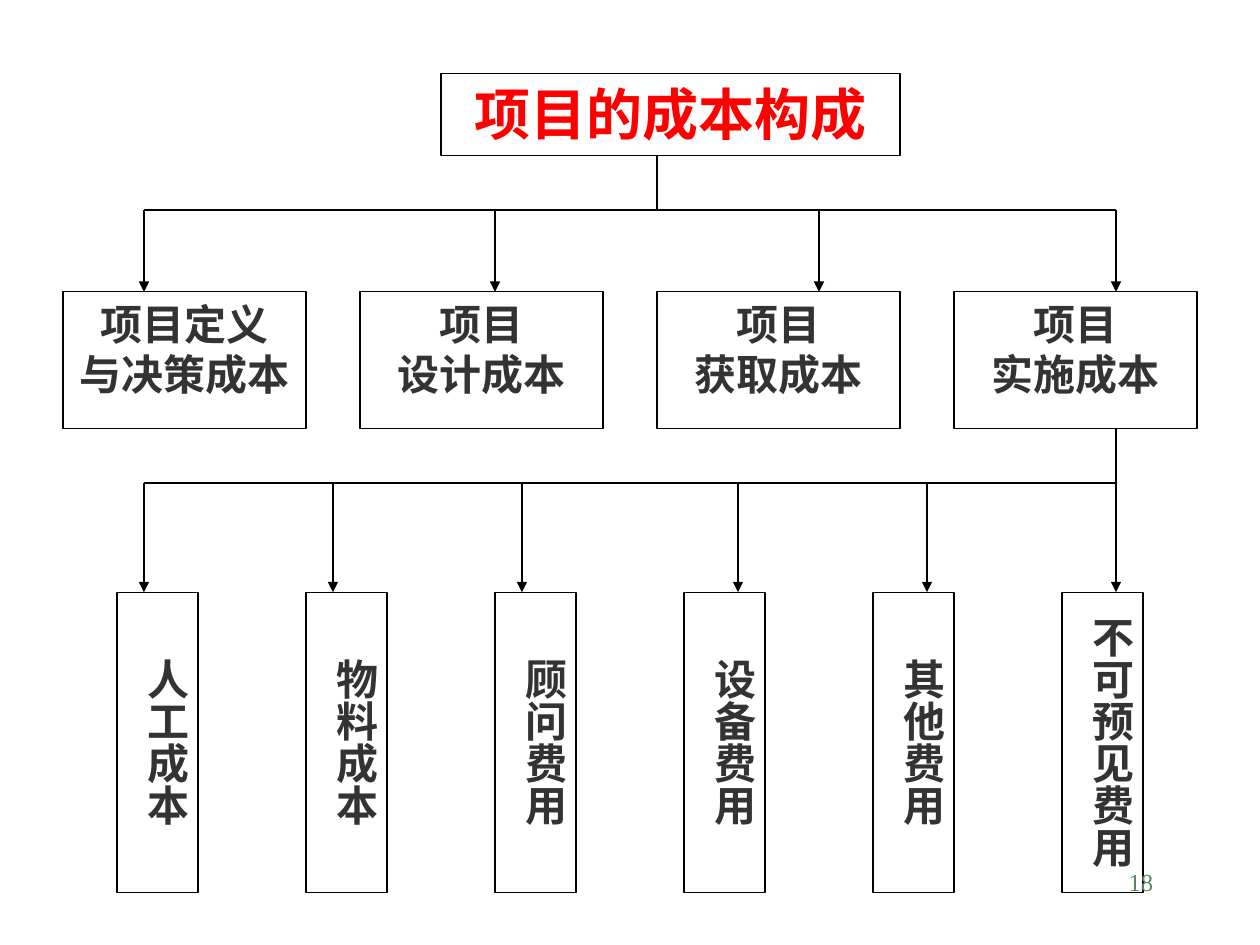
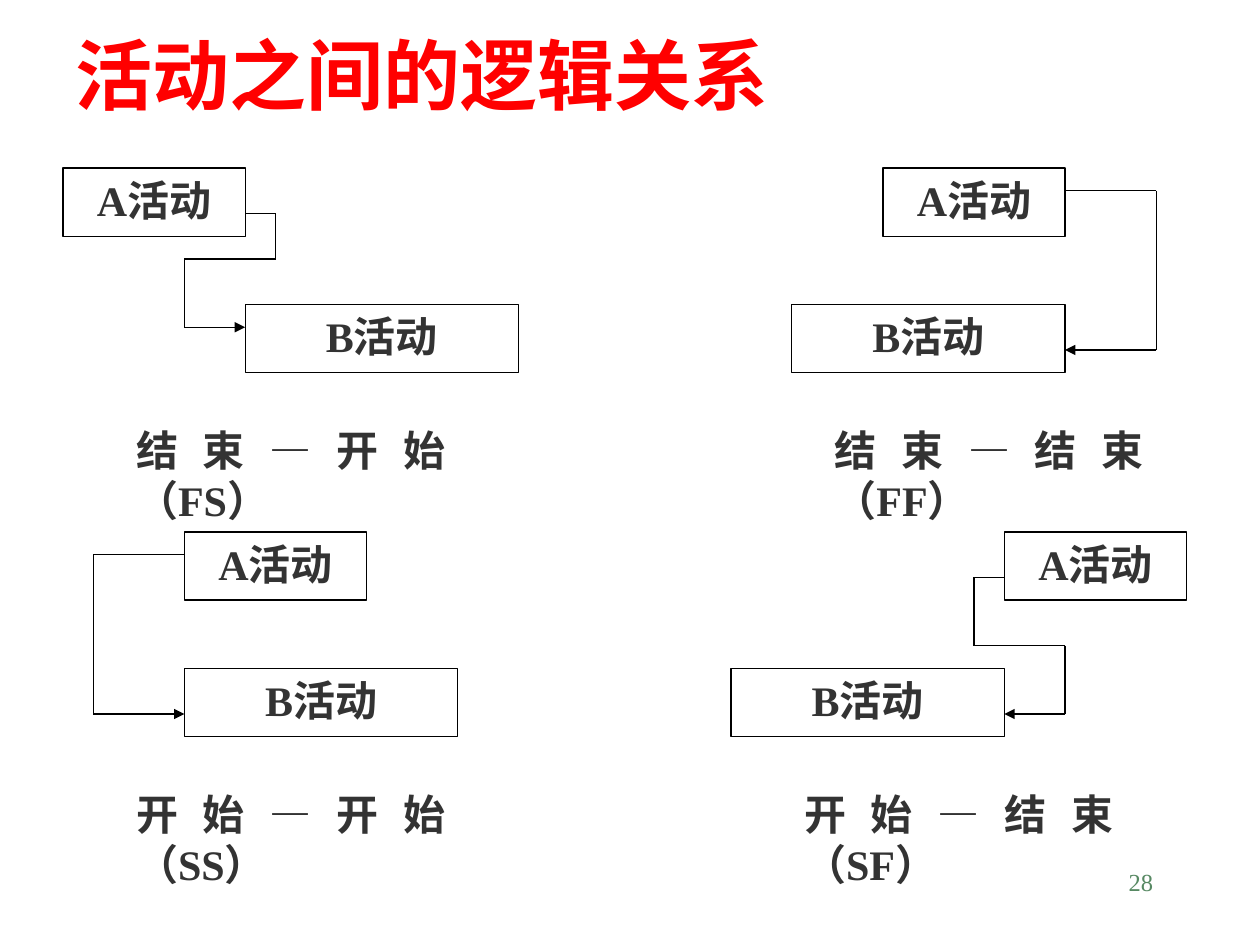
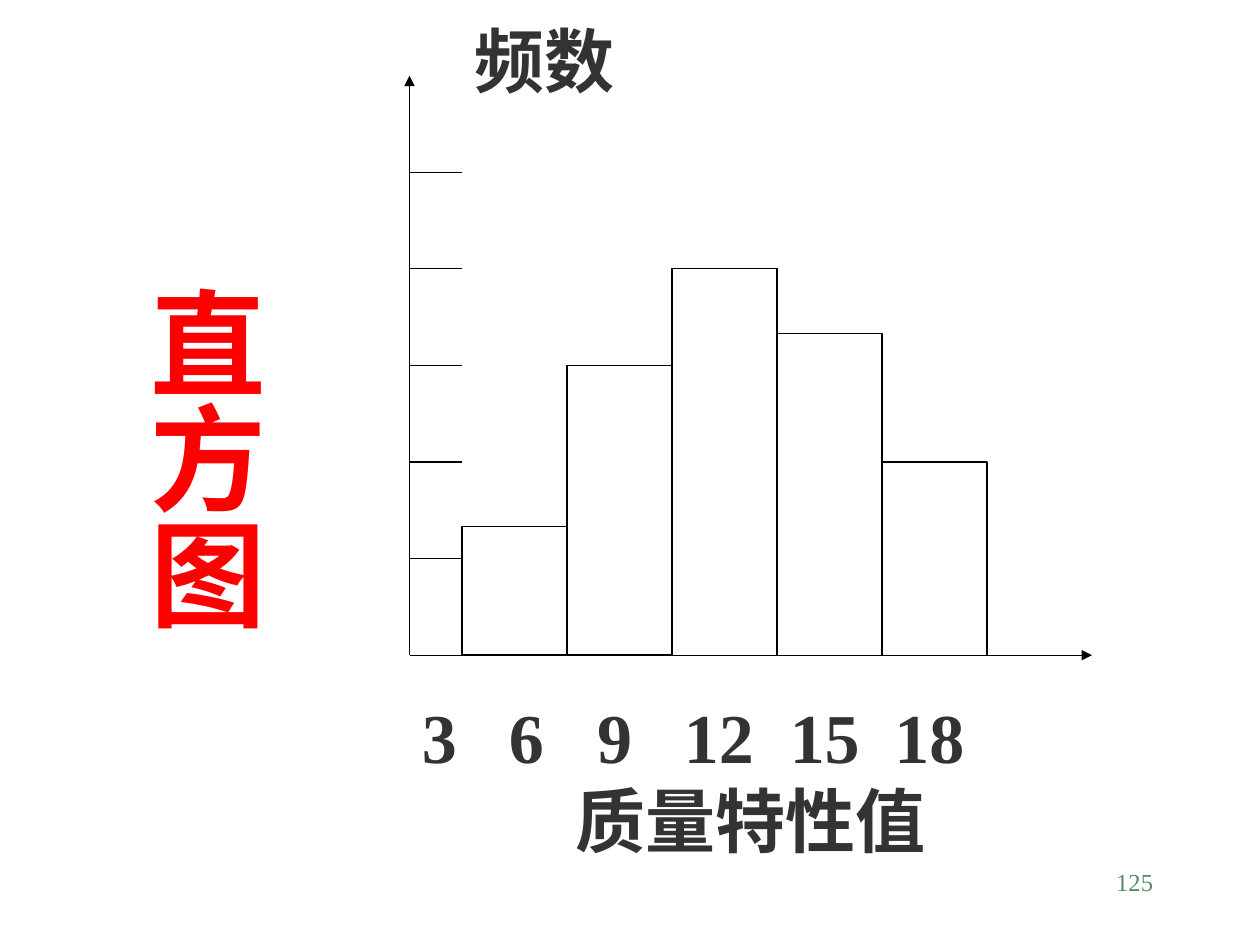
from itertools import pairwise

from lxml import etree
from pptx import Presentation
from pptx import util as u
from pptx.dml.color import RGBColor
from pptx.enum import lang, shapes, text
from pptx.oxml import ns

INK, RED, GREEN, BLACK, WHITE = "333333", "FF0000", "578963", "000000", "FFFFFF"
FONT = "Times New Roman"
ALIGN = {"l": text.PP_ALIGN.LEFT, "c": text.PP_ALIGN.CENTER,
         "r": text.PP_ALIGN.RIGHT, "j": text.PP_ALIGN.JUSTIFY}


def paint(hex_color):
    """Turn a hex string into a colour."""
    return RGBColor.from_string(hex_color)


def add_xml(parent, tag, **attributes):
    """Append a drawing element to a parent."""
    return etree.SubElement(parent, ns.qn(tag), attributes)


def write(paragraph, words, size=24, color=INK, bold=True, align="c", tabs=()):
    """Write one formatted run of text into a paragraph."""
    paragraph.alignment = ALIGN[align]
    if tabs:
        stops = add_xml(paragraph._p.get_or_add_pPr(), "a:tabLst")
        for stop in tabs:
            add_xml(stops, "a:tab", pos=str(u.Inches(stop)), algn="l")
    run = paragraph.add_run()
    run.text = words
    font = run.font
    font.size, font.bold, font.name = u.Pt(size), bold, FONT
    font.color.rgb = paint(color)
    font.language_id = lang.MSO_LANGUAGE_ID.SIMPLIFIED_CHINESE


class Deck:
    """Hold the shared style, the current slide and its grid."""

    def __init__(self):
        """Start a deck of 10 by 7.5 inches."""
        self.file = Presentation()
        self.file.slide_width, self.file.slide_height = u.Inches(10), u.Inches(7.5)

    def grid(self, left=0, top=0, column=1 / 12, row=1 / 12):
        """Choose the grid, in inches, that later elements use."""
        self.origin, self.step = (left, top), (column, row)

    def point(self, col, row):
        """Turn a grid position into lengths on the slide."""
        return [u.Inches(start + n * step)
                for start, n, step in zip(self.origin, (col, row), self.step)]

    def new_slide(self):
        """Add a blank slide with the default grid."""
        self.slide = self.file.slides.add_slide(self.file.slide_layouts[6])
        self.grid()

    def page_number(self, number):
        """Put the page number on top of the slide."""
        self.grid()
        self.label(86, 82, 25, 6, [number], size=14, color=GREEN, bold=False, align="r")

    def extent(self, col, row, cols, rows):
        """Give left, top, width and height of a grid area."""
        left, top = self.point(col, row)
        right, bottom = self.point(col + cols, row + rows)
        return left, top, right - left, bottom - top

    def fill_text(self, shape, lines, vertical=False, wrap=True, middle=False,
                  first=None, **style):
        """Set the frame of a shape and write its lines, the first with its own format."""
        frame = shape.text_frame
        frame.word_wrap = wrap
        frame.vertical_anchor = text.MSO_ANCHOR.MIDDLE if middle else text.MSO_ANCHOR.TOP
        side, end = (0.05, 0.1) if vertical else (0.1, 0.05)
        frame.margin_left = frame.margin_right = u.Inches(side)
        frame.margin_top = frame.margin_bottom = u.Inches(end)
        if vertical:
            frame._txBody.bodyPr.set("vert", "eaVert")
        if vertical and wrap:
            frame._txBody.bodyPr.set("anchorCtr", "1")
        if not wrap:
            frame.auto_size = text.MSO_AUTO_SIZE.SHAPE_TO_FIT_TEXT
        for index, line in enumerate(lines):
            paragraph = frame.add_paragraph() if index else frame.paragraphs[0]
            own = {} if index else first or {}
            write(paragraph, line, **(style | own))

    def label(self, col, row, cols, rows, lines, **style):
        """Add plain text over a grid area."""
        shape = self.slide.shapes.add_textbox(*self.extent(col, row, cols, rows))
        self.fill_text(shape, lines, **style)

    def box(self, col, row, cols, rows, lines=(), outline=True, **style):
        """Add a white rectangle, with text if given."""
        shape = self.slide.shapes.add_shape(
            shapes.MSO_SHAPE.RECTANGLE, *self.extent(col, row, cols, rows))
        shape.shadow.inherit = False
        shape.fill.solid()
        shape.fill.fore_color.rgb = paint(WHITE)
        if outline:
            shape.line.color.rgb = paint(BLACK)
            shape.line.width = u.Pt(0.75)
        else:
            shape.line.fill.background()
        self.fill_text(shape, lines, **style)

    def route(self, *stops, arrow=True):
        """Join grid positions with straight lines, an arrow on the last."""
        for start, end in pairwise(stops):
            line = self.slide.shapes.add_connector(
                shapes.MSO_CONNECTOR.STRAIGHT, *self.point(*start), *self.point(*end))
            line.line.color.rgb = paint(BLACK)
            line.line.width = u.Pt(0.75)
            if arrow and end == stops[-1]:
                add_xml(line.line._get_or_add_ln(), "a:tailEnd", type="triangle")
            add_xml(line._element.spPr, "a:effectLst")


def cost_structure(deck):
    """Draw the tree of project costs."""
    deck.new_slide()
    deck.grid(0.5, 7 / 12, 9 / 42, 6.5 / 30)
    deck.box(14, 0, 17, 3, ["项目的成本构成"], size=32, color=RED)
    stages = [("项目定义", "与决策成本"), ("项目", "设计成本"),
              ("项目", "获取成本"), ("项目", "实施成本")]
    for index, stage in enumerate(stages):
        deck.box(11 * index, 8, 9, 5, stage)
    costs = ["人工成本", "物料成本", "顾问费用", "设备费用", "其他费用", "不可预见费用"]
    for index, cost in enumerate(costs):
        deck.box(2 + 7 * index, 19, 3, 11, [cost], vertical=True)
    levels = [(22, 3, 5, 8, (3, 16, 28, 39)), (39, 13, 15, 19, (3, 10, 17, 25, 32, 39))]
    for trunk, top, rail, bottom, branches in levels:
        deck.route((trunk, top), (trunk, rail), arrow=False)
        deck.route((branches[0], rail), (branches[-1], rail), arrow=False)
        for branch in branches:
            deck.route((branch, rail), (branch, bottom))
    deck.page_number("18")


def activity_logic(deck):
    """Draw the four relations between two activities."""
    deck.new_slide()
    deck.label(6, 3, 110, 8, ["活动之间的逻辑关系"], size=44, color=RED,
               align="l", middle=True)
    deck.grid(0.5, 4 / 3, 0.241, 6.5 / 36)
    relations = [
        ("结束—开始（FS）", 0, 0, 6, 2, [(6, 2), (7, 2), (7, 4), (4, 4), (4, 7), (6, 7)]),
        ("结束—结束（FF）", 0, 27, 24, 25, [(33, 1), (36, 1), (36, 8), (33, 8)]),
        ("开始—开始（SS）", 16, 4, 4, 2, [(4, 1), (1, 1), (1, 8), (4, 8)]),
        ("开始—结束（SF）", 16, 31, 22, 24,
         [(31, 2), (30, 2), (30, 5), (33, 5), (33, 8), (31, 8)]),
    ]
    for relation, top, first, second, caption, stops in relations:
        deck.box(first, top, 6, 3, ["A活动"])
        deck.box(second, top + 6, 9, 3, ["B活动"])
        deck.label(caption, top + 11, 11, 3, [relation], align="j")
        deck.route(*[(col, top + row) for col, row in stops])
    deck.page_number("28")


def histogram(deck):
    """Draw the histogram with its axes and captions."""
    deck.new_slide()
    deck.label(11, 26, 15.6, 34.2, ["直方图"], size=66, color=RED, align="l",
               vertical=True, wrap=False)
    deck.grid(3.25, 0.6, 5 / 12, 4.6 / 18)
    base = 18
    deck.route((0, base), (13, base))
    deck.route((0, base), (0, 0))
    for index, frequency in enumerate([4, 9, 12, 10, 6]):
        deck.box(1 + 2 * index, base - frequency, 2, frequency)
    deck.box(0, 19, 13, 7, ["3\t6\t9\t12\t15\t18", "质量特性值"], outline=False, size=40,
             first={"align": "l", "tabs": (0.69, 1.39, 2.08, 2.92, 3.75)})
    for tick in range(3, 16, 3):
        deck.route((0, base - tick), (1, base - tick), arrow=False)
    deck.box(1, -2, 4, 3, ["频数"], outline=False, size=40, align="j")
    deck.page_number("125")


def main():
    """Build and save the three slides."""
    deck = Deck()
    cost_structure(deck)
    activity_logic(deck)
    histogram(deck)
    deck.file.save("out.pptx")


if __name__ == "__main__":
    main()
